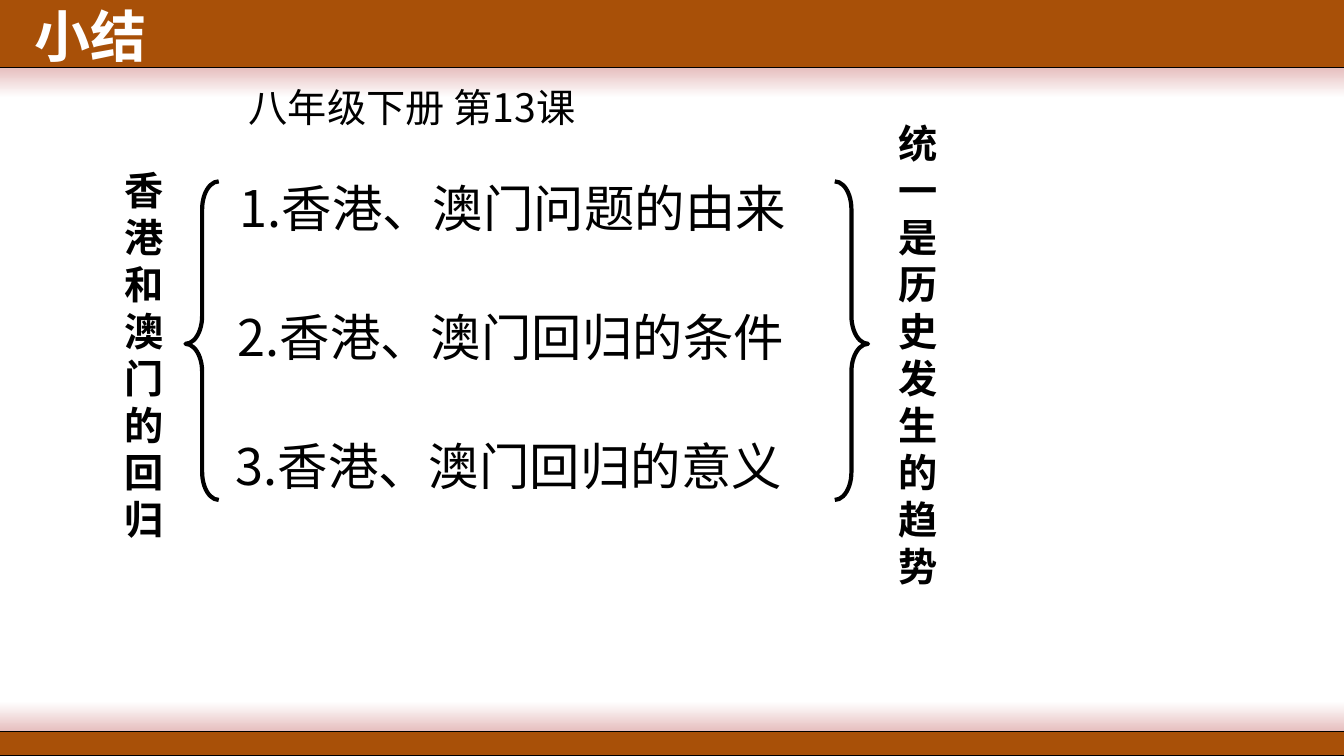
from pptx import Presentation
from pptx.dml.color import RGBColor
from pptx.enum.shapes import MSO_SHAPE as Form
from pptx.enum.text import MSO_ANCHOR as Anchor
from pptx.oxml.ns import qn
from pptx.util import Inches, Pt
from lxml.etree import SubElement

WIDE, HIGH = 13.33, 7.5
RUST, PINK, WHITE, BLACK = "A85008", "E6BEBE", "FFFFFF", "000000"
FACE = "Noto Sans CJK SC"
TOPICS = ["香港、澳门问题的由来", "香港、澳门回归的条件", "香港、澳门回归的意义"]


def tint(code):
    """Turn a hex string into a colour."""
    return RGBColor.from_string(code)


def place(slide, form, box):
    """Add a preset shape without shadow."""
    shape = slide.shapes.add_shape(form, *map(Inches, box))
    shape.shadow.inherit = False
    return shape


def bar(slide, top, high):
    """Add a full-width bar with a thin outline."""
    shape = place(slide, Form.RECTANGLE, (-0.01, top, WIDE + 0.03, high))
    shape.fill.solid()
    shape.fill.fore_color.rgb = tint(RUST)
    shape.line.color.rgb = tint(BLACK)
    shape.line.width = Pt(0.75)


def glow(slide, top, shades):
    """Add a full-width fading band, shaded from top to bottom."""
    shape = place(slide, Form.RECTANGLE, (0, top, WIDE, 0.3))
    shape.line.fill.background()
    shape.fill.gradient()
    shape.fill.gradient_angle = 270
    for stop, code in zip(shape.fill.gradient_stops, shades):
        stop.color.rgb = tint(code)


def brace(slide, form, left, point):
    """Add a curly brace beside the topics."""
    shape = place(slide, form, (left, 1.8, 0.33, 3.16))
    shape.adjustments[0] = 0.84
    shape.adjustments[1] = point
    shape.fill.background()
    shape.line.color.rgb = tint(BLACK)
    shape.line.width = Pt(3)


def write(slide, box, lines, size, bold=False, code=BLACK, wrap=True):
    """Add a text box with one paragraph per line."""
    frame = slide.shapes.add_textbox(*map(Inches, box)).text_frame
    frame.word_wrap = wrap
    frame.vertical_anchor = Anchor.MIDDLE
    frame.text = "\n".join(lines)
    for para in frame.paragraphs:
        font = para.font
        font.size, font.bold, font.name = Pt(size), bold, FACE
        font.color.rgb = tint(code)
        props = para._p.pPr.find(qn("a:defRPr"))
        SubElement(props, qn("a:ea")).set("typeface", FACE)


def main():
    """Build the summary slide."""
    deck = Presentation()
    deck.slide_width, deck.slide_height = Inches(WIDE), Inches(HIGH)
    slide = deck.slides.add_slide(deck.slide_layouts[6])
    glow(slide, 0.67, (PINK, WHITE))
    glow(slide, 6.96, (WHITE, PINK))
    bar(slide, -0.04, 0.71)
    bar(slide, 7.26, 0.24)
    write(slide, (0.24, -0.04, 1.49, 0.77), ["小结"], 40, True, WHITE)
    write(slide, (2.37, 0.75, 10.03, 0.63), ["八年级下册 第13课"], 28)
    write(slide, (1.14, 1.58, 0.59, 3.87), "香港和澳门的回归", 28, True, wrap=False)
    write(slide, (8.81, 1.11, 0.59, 4.81), "统一是历史发生的趋势", 28, True, wrap=False)
    for row, topic in enumerate(TOPICS):
        box = (2.28 - 0.02 * row, 1.7 + 1.28 * row, 6.37, 0.71)
        write(slide, box, [f"{row + 1}.{topic}"], 36)
    brace(slide, Form.LEFT_BRACE, 1.84, 0.51)
    brace(slide, Form.RIGHT_BRACE, 8.28, 0.51)
    deck.save("out.pptx")


if __name__ == "__main__":
    main()
